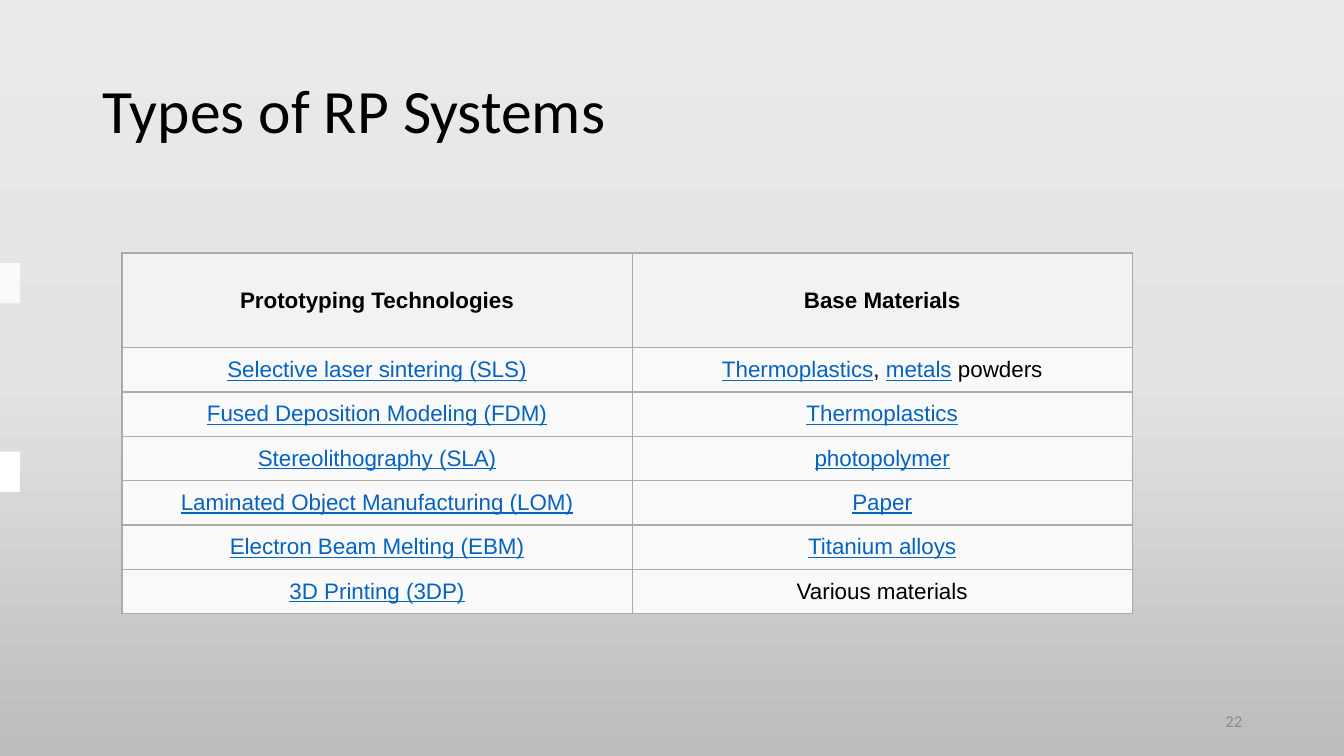
from copy import deepcopy

from lxml import etree
from pptx import Presentation
from pptx.dml.color import RGBColor
from pptx.enum.shapes import MSO_SHAPE
from pptx.enum.text import MSO_ANCHOR, PP_ALIGN
from pptx.oxml.ns import qn
from pptx.util import Inches, Pt

RECT = MSO_SHAPE.RECTANGLE
MIDDLE = MSO_ANCHOR.MIDDLE
LEFT, CENTER, RIGHT = PP_ALIGN.LEFT, PP_ALIGN.CENTER, PP_ALIGN.RIGHT

COLORS = {
    "text": "000000",
    "link": "0563C1",
    "number": "8C8C8C",
    "header": "F2F2F2",
    "body": "F9F9F9",
    "border": "AAAAAA",
    "white": "FFFFFF",
}
BACKGROUND = [(0, "EBEAEA"), (0.5, "E4E3E3"), (1, "BDBCBC")]

HEADERS = ["Prototyping Technologies", "Base Materials"]
# Each cell is a list of (text, is_link) runs
SYSTEMS = [
    ([("Selective laser sintering (SLS)", True)],
     [("Thermoplastics", True), (", ", False), ("metals", True), (" powders", False)]),
    ([("Fused Deposition Modeling (FDM)", True)], [("Thermoplastics", True)]),
    ([("Stereolithography (SLA)", True)], [("photopolymer", True)]),
    ([("Laminated Object Manufacturing (LOM)", True)], [("Paper", True)]),
    ([("Electron Beam Melting (EBM)", True)], [("Titanium alloys", True)]),
    ([("3D Printing (3DP)", True)], [("Various materials", False)]),
]
COL_WIDTHS = [5.06, 4.96]
HEADER_HEIGHT, ROW_HEIGHT = 0.94, 0.44


def rgb(name):
    return RGBColor.from_string(COLORS[name])


def set_background(s):
    fill = s.background.fill
    fill.gradient()
    fill.gradient_angle = 270
    stops = s.element.find(".//" + qn("a:gsLst"))
    stops.append(deepcopy(stops[-1]))
    for stop, (position, color) in zip(fill.gradient_stops, BACKGROUND):
        stop.position = position
        stop.color.rgb = RGBColor.from_string(color)


def add_text(s, text, left, top, width, height, size, color, align=LEFT, spacing=1.0):
    box = s.shapes.add_textbox(Inches(left), Inches(top), Inches(width), Inches(height))
    tf = box.text_frame
    tf.word_wrap = True
    tf.vertical_anchor = MIDDLE
    p = tf.paragraphs[0]
    p.text = text
    p.alignment = align
    p.line_spacing = spacing
    p.font.name = "Calibri"
    p.font.size = Pt(size)
    p.font.color.rgb = rgb(color)


def add_marker(s, top, color):
    sp = s.shapes.add_shape(RECT, Inches(0), Inches(top), Inches(0.2), Inches(0.4))
    sp.shadow.inherit = False
    sp.fill.solid()
    sp.fill.fore_color.rgb = rgb(color)
    sp.line.fill.background()


def set_borders(cell):
    tc_pr = cell._tc.get_or_add_tcPr()
    for i, side in enumerate(("a:lnL", "a:lnR", "a:lnT", "a:lnB")):
        ln = etree.Element(qn(side), w=str(Pt(1)))
        fill = etree.SubElement(ln, qn("a:solidFill"))
        etree.SubElement(fill, qn("a:srgbClr"), val=COLORS["border"])
        tc_pr.insert(i, ln)


def fill_cell(cell, runs, fill, bold=False):
    cell.fill.solid()
    cell.fill.fore_color.rgb = rgb(fill)
    set_borders(cell)
    cell.vertical_anchor = MIDDLE
    cell.margin_left = cell.margin_right = Inches(0.13)
    cell.margin_top = cell.margin_bottom = Inches(0.05)
    p = cell.text_frame.paragraphs[0]
    p.alignment = CENTER
    p.font.name = "Arial"
    p.font.size = Pt(16)
    p.font.bold = bold
    for text, is_link in runs:
        r = p.add_run()
        r.text = text
        r.font.underline = is_link
        r.font.color.rgb = rgb("link" if is_link else "text")


def add_systems_table(s, left, top):
    heights = [HEADER_HEIGHT] + [ROW_HEIGHT] * len(SYSTEMS)
    table = s.shapes.add_table(
        len(heights), len(COL_WIDTHS), Inches(left), Inches(top),
        Inches(sum(COL_WIDTHS)), Inches(sum(heights))).table
    for column, width in zip(table.columns, COL_WIDTHS):
        column.width = Inches(width)
    for row, height in zip(table.rows, heights):
        row.height = Inches(height)
    for c, header in enumerate(HEADERS):
        fill_cell(table.cell(0, c), [(header, False)], "header", bold=True)
    for r, system in enumerate(SYSTEMS, start=1):
        for c, runs in enumerate(system):
            fill_cell(table.cell(r, c), runs, "body")


def main():
    prs = Presentation()
    prs.slide_width, prs.slide_height = Inches(13.33), Inches(7.5)
    s = prs.slides.add_slide(prs.slide_layouts[6])
    set_background(s)

    # Slide number and title
    add_text(s, "22", 9.42, 6.95, 3, 0.4, 12, "number", align=RIGHT)
    add_text(s, "Types of RP Systems", 0.92, 0.4, 11.5, 1.45, 44, "text", spacing=0.9)

    # Left edge markers and table
    add_marker(s, 2.61, "body")
    add_systems_table(s, 1.21, 2.51)
    add_marker(s, 4.48, "white")

    prs.save("out.pptx")


if __name__ == "__main__":
    main()
